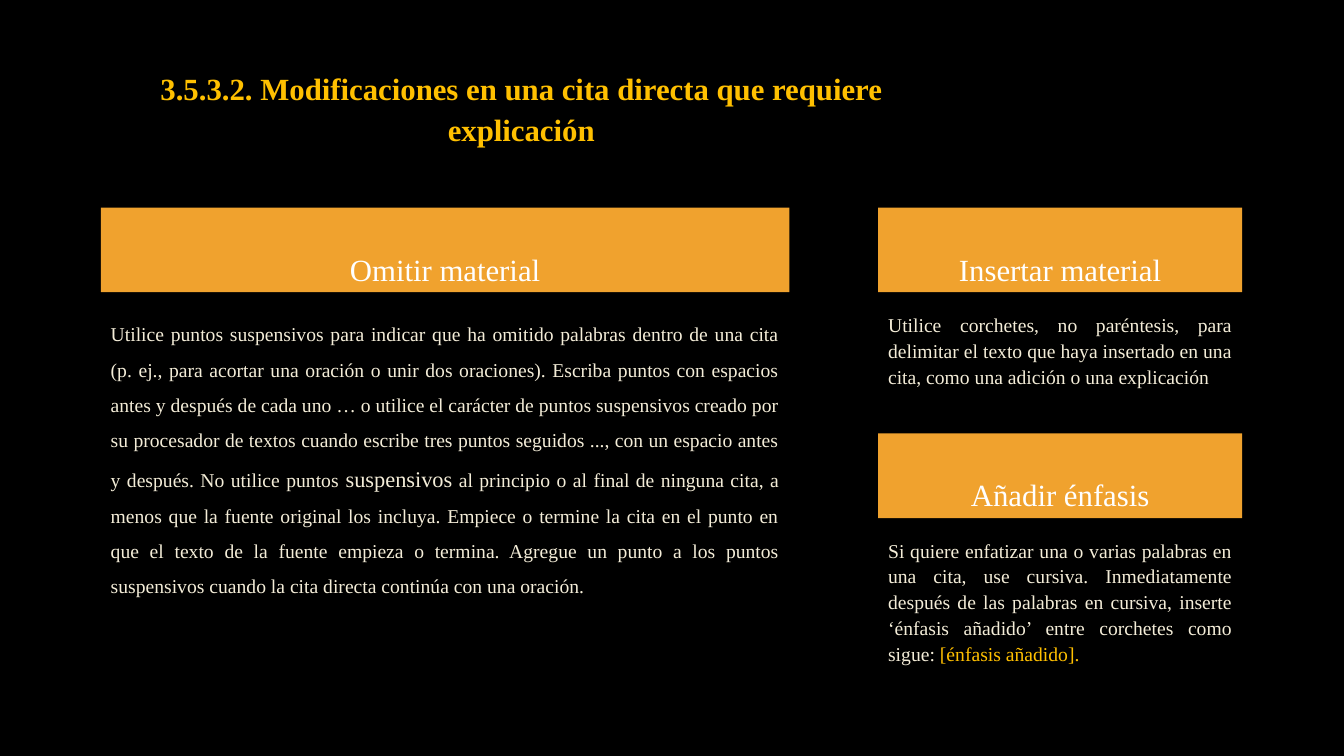
from pptx import Presentation
from pptx.dml.color import RGBColor
from pptx.enum.shapes import MSO_SHAPE as Shape
from pptx.enum.text import MSO_ANCHOR as Anchor, PP_ALIGN as Align
from pptx.util import Inches, Pt


def color(value):
    return RGBColor.from_string(value)


class SlideBuilder:
    """Holds the style and the current slide, and adds its elements."""

    font = "Times New Roman"
    black, orange, gold = "000000", "F0A22E", "FFC000"
    white, cream = "FFFFFF", "F4EDD8"
    heading_size, body_size = 22, 14
    heading_height = 0.84

    def __init__(self, presentation):
        self.slide = presentation.slides.add_slide(presentation.slide_layouts[6])
        background = self.slide.background.fill
        background.solid()
        background.fore_color.rgb = color(self.black)

    def set_text(self, shape, runs, size, ink, align, anchor, spacing=1.1, bold=False):
        frame = shape.text_frame
        frame.word_wrap = True
        frame.vertical_anchor = anchor
        paragraph = frame.paragraphs[0]
        paragraph.alignment = align
        paragraph.line_spacing = spacing
        paragraph.space_before = Pt(0.2 * size)
        paragraph.space_after = Pt(6)
        paragraph.font.name = self.font
        paragraph.font.bold = bold
        for text, run_size, run_ink in runs:
            run = paragraph.add_run()
            run.text = text
            run.font.size = Pt(run_size or size)
            run.font.color.rgb = color(run_ink or ink)

    def text_box(self, left, top, width, height):
        return self.slide.shapes.add_textbox(
            Inches(left), Inches(top), Inches(width), Inches(height))

    def title(self, text, left, top, width):
        box = self.text_box(left, top, width, self.heading_height)
        self.set_text(box, [(text, None, None)], self.heading_size, self.gold,
                      Align.CENTER, Anchor.BOTTOM, bold=True)

    def heading(self, text, left, top, width):
        bar = self.slide.shapes.add_shape(
            Shape.RECTANGLE, Inches(left), Inches(top),
            Inches(width), Inches(self.heading_height))
        bar.shadow.inherit = False
        bar.fill.solid()
        bar.fill.fore_color.rgb = color(self.orange)
        bar.line.fill.background()
        self.set_text(bar, [(text, None, None)], self.heading_size, self.white,
                      Align.CENTER, Anchor.BOTTOM)

    def body(self, runs, left, top, width, height, spacing):
        box = self.text_box(left, top, width, height)
        self.set_text(box, runs, self.body_size, self.cream,
                      Align.JUSTIFY, Anchor.TOP, spacing)

    def section(self, heading, runs, left, top, width, body_height, spacing=1.1):
        self.heading(heading, left, top, width)
        self.body(runs, left, top + 0.97, width, body_height, spacing)


def main():
    presentation = Presentation()
    presentation.slide_width = Inches(13.33)
    presentation.slide_height = Inches(7.5)
    builder = SlideBuilder(presentation)

    omit_text = [
        ("Utilice puntos suspensivos para indicar que ha omitido palabras dentro "
         "de una cita (p. ej., para acortar una oración o unir dos oraciones). "
         "Escriba puntos con espacios antes y después de cada uno … o utilice el "
         "carácter de puntos suspensivos creado por su procesador de textos cuando "
         "escribe tres puntos seguidos ..., con un espacio antes y después. "
         "No utilice puntos ", None, None),
        ("suspensivos", 16, None),
        (" al principio o al final de ninguna cita, a menos que la fuente original "
         "los incluya. Empiece o termine la cita en el punto en que el texto de la "
         "fuente empieza o termina. Agregue un punto a los puntos suspensivos "
         "cuando la cita directa continúa con una oración.", None, None),
    ]
    insert_text = [
        ("Utilice corchetes, no paréntesis, para delimitar el texto que haya "
         "insertado en una cita, como una adición o una explicación", None, None),
    ]
    emphasis_text = [
        ("Si quiere enfatizar una o varias palabras en una cita, use cursiva. "
         "Inmediatamente después de las palabras en cursiva, inserte ‘énfasis "
         "añadido’ entre corchetes como sigue: ", None, None),
        ("[énfasis añadido].", None, builder.gold),
    ]

    builder.section("Omitir material", omit_text, 1, 2.06, 6.83, 3.31, spacing=1.5)
    builder.section("Insertar material", insert_text, 8.71, 2.06, 3.61, 1.07)
    builder.section("Añadir énfasis", emphasis_text, 8.71, 4.3, 3.61, 1.57)
    builder.title("3.5.3.2. Modificaciones en una cita directa que requiere explicación",
                  0.78, 0.67, 8.78)
    presentation.save("out.pptx")


if __name__ == "__main__":
    main()
